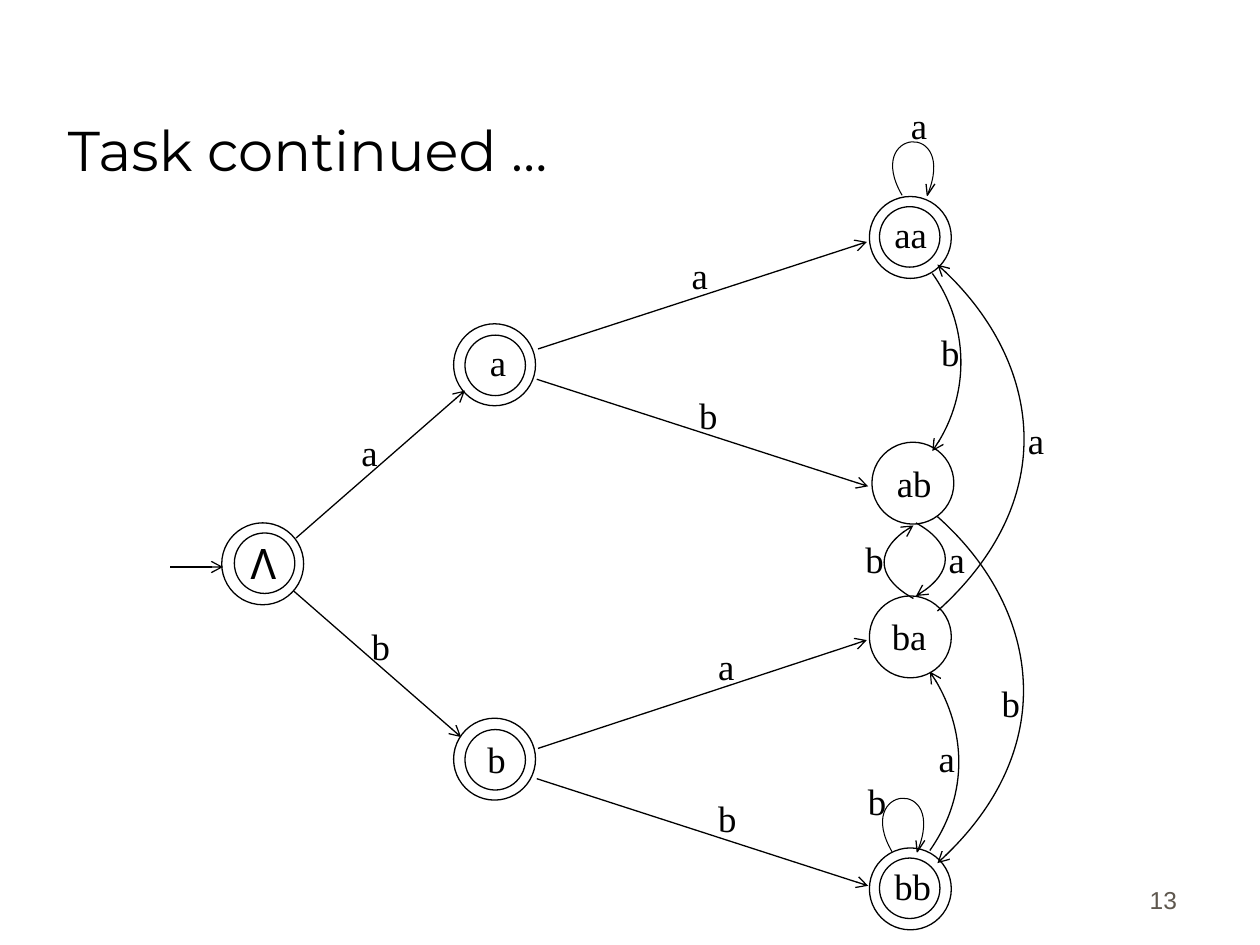
from dataclasses import dataclass

from lxml import etree
from pptx import Presentation
from pptx import util as u
from pptx.dml.color import RGBColor
from pptx.enum import shapes, text
from pptx.oxml.ns import qn


@dataclass(frozen=True)
class Theme:
    ink: str = "000000"
    paper: str = "FFFFFF"
    muted: str = "5E574E"
    title: tuple = ("Montserrat", 32)
    label: tuple = ("Times New Roman", 21)
    start: tuple = ("Cabin", 24)
    page: tuple = ("Arial", 14)
    line: float = 0.75
    thin: float = 0.6


@dataclass(frozen=True)
class Box:
    """A region split into square cells; points are (column, row)."""
    left: int
    top: int
    cell: int

    def at(self, x, y):
        return round(self.left + x * self.cell), round(self.top + y * self.cell)

    def size(self, w, h):
        return round(w * self.cell), round(h * self.cell)


T = Theme()
OUTER, INNER = 0.65, 0.48
LABEL = (0.98, 0.68)

# Outer circle, inner circle (if accepting): left and top
NODES = [
    ((1.76, 4.15), (1.86, 4.23)),
    ((3.6, 2.57), (3.69, 2.66)),
    ((3.6, 5.7), (3.69, 5.79)),
    ((6.9, 1.56), (6.98, 1.64)),
    ((6.92, 3.51), None),
    ((6.9, 4.73), None),
    ((6.9, 6.73), (6.98, 6.81)),
]
NAMES = [
    ("a", 3.79, 2.65), ("b", 3.77, 5.8), ("aa", 7, 1.63),
    ("ab", 7.02, 3.61), ("ba", 6.98, 4.82), ("bb", 7, 6.81),
]
# Straight moves: from, to
MOVES = [
    ((1.35, 4.5), (1.77, 4.5)),
    ((2.35, 4.27), (3.69, 3.1)), ((2.33, 4.69), (3.66, 5.85)),
    ((4.27, 2.77), (6.88, 1.92)), ((4.26, 3.01), (6.89, 3.86)),
    ((4.27, 5.94), (6.88, 5.08)), ((4.26, 6.18), (6.89, 7.03)),
]
# Curved moves: start, two control points, end
ARCS = [
    ((7.4, 2.17), (7.66, 2.53), (7.73, 3.12), (7.4, 3.58)),
    ((7.38, 6.75), (7.71, 6.28), (7.64, 5.7), (7.38, 5.33)),
    ((7.44, 4.1), (8.24, 4.81), (8.44, 5.95), (7.44, 6.85)),
    ((7.44, 4.85), (8.44, 3.95), (8.24, 2.81), (7.44, 2.1)),
    ((7.27, 4.15), (7.54, 4.3), (7.6, 4.54), (7.27, 4.73)),
    ((7.25, 4.75), (6.98, 4.6), (6.92, 4.36), (7.25, 4.17)),
]
# Self loops: where each one starts
LOOPS = [(7.16, 1.55), (7.08, 6.76)]
TAGS = [
    ("a", 7.13, 0.77), ("a", 8.06, 3.27), ("a", 2.77, 3.36), ("b", 2.85, 4.9),
    ("a", 5.39, 1.96), ("b", 5.45, 3.07), ("a", 5.6, 5.06), ("b", 5.6, 6.27),
    ("b", 7.37, 2.57), ("a", 7.35, 5.79), ("b", 7.85, 5.35), ("b", 6.79, 6.13),
    ("a", 7.43, 4.21), ("b", 6.77, 4.21),
]


def write(slide, box, words, spot, size, face, ink=T.ink, **form):
    """Text box; form holds text frame values, plus align."""
    frame = slide.shapes.add_textbox(*box.at(*spot), *box.size(*size)).text_frame
    align = form.pop("align", text.PP_ALIGN.LEFT)
    for key, val in {"word_wrap": True, **form}.items():
        setattr(frame, key, val)
    para = frame.paragraphs[0]
    para.alignment = align
    run = para.add_run()
    run.text = words
    for key, val in {"name": face[0], "size": u.Pt(face[1])}.items():
        setattr(run.font, key, val)
    run.font.color.rgb = RGBColor.from_string(ink)


def stroke(shape, width=T.line, arrow=False):
    shape.line.color.rgb = RGBColor.from_string(T.ink)
    shape.line.width = u.Pt(width)
    props = shape._element.spPr
    if arrow:
        etree.SubElement(props.find(qn("a:ln")), qn("a:tailEnd"), type="arrow")
    if props.find(qn("a:effectLst")) is None:
        etree.SubElement(props, qn("a:effectLst"))


def circle(slide, box, spot, width):
    shape = slide.shapes.add_shape(
        shapes.MSO_SHAPE.OVAL, *box.at(*spot), *box.size(width, width))
    shape.fill.solid()
    shape.fill.fore_color.rgb = RGBColor.from_string(T.paper)
    stroke(shape)


def trace(slide, box, points):
    """Open, unfilled outline through the points."""
    first, *rest = [box.at(*p) for p in points]
    pen = slide.shapes.build_freeform(*first)
    pen.add_line_segments(rest, close=False)
    shape = pen.convert_to_shape()
    shape.fill.background()
    return shape


def curve(slide, box, points, width=T.line, arrow=True):
    """Turn the three segments after the start into one cubic curve."""
    shape = trace(slide, box, points)
    steps = list(shape._element.iter(qn("a:lnTo")))
    bend = etree.SubElement(steps[0].getparent(), qn("a:cubicBezTo"))
    for step in steps:
        bend.append(step[0])
        step.getparent().remove(step)
    stroke(shape, width, arrow)


def loop(slide, box, x, y):
    curve(slide, box, [(x, y), (x - 0.31, y - 0.53), (x + 0.45, y - 0.6),
                       (x + 0.2, y)], T.thin, False)
    # Small open arrowhead
    stroke(trace(slide, box, [(x + 0.26, y - 0.09), (x + 0.2, y),
                              (x + 0.19, y - 0.09)]))


def graph(slide, box):
    # Outer circles
    for outer, _ in NODES:
        circle(slide, box, outer, OUTER)
    # Moves between states
    for tail, tip in MOVES:
        link = slide.shapes.add_connector(
            shapes.MSO_CONNECTOR.STRAIGHT, *box.at(*tail), *box.at(*tip))
        stroke(link, arrow=True)
    for arc in ARCS:
        curve(slide, box, arc)
    for spot in LOOPS:
        loop(slide, box, *spot)
    # Inner circles of accepting states
    for _, inner in NODES:
        if inner:
            circle(slide, box, inner, INNER)
    # State names and move labels
    for words, x, y in NAMES + TAGS:
        write(slide, box, words, (x, y), LABEL, T.label)
    write(slide, box, "Λ", (1.89, 4.22), (0.4, 0.5), T.start, word_wrap=False,
          align=text.PP_ALIGN.CENTER, auto_size=text.MSO_AUTO_SIZE.SHAPE_TO_FIT_TEXT)


def head(slide, box):
    write(slide, box, "Task continued …", (0.44, 0.25), (8.5, 1.25), T.title,
          vertical_anchor=text.MSO_ANCHOR.BOTTOM)


def foot(slide, box):
    write(slide, box, "13", (7.36, 6.81), (2.08, 0.5), T.page, T.muted,
          align=text.PP_ALIGN.RIGHT, vertical_anchor=text.MSO_ANCHOR.BOTTOM)


def main():
    deck = Presentation()
    deck.slide_width, deck.slide_height = u.Inches(10), u.Inches(7.5)
    slide = deck.slides.add_slide(deck.slide_layouts[6])
    box = Box(0, 0, deck.slide_width // 10)
    for part in (foot, head, graph):
        part(slide, box)
    deck.save("out.pptx")


if __name__ == "__main__":
    main()
